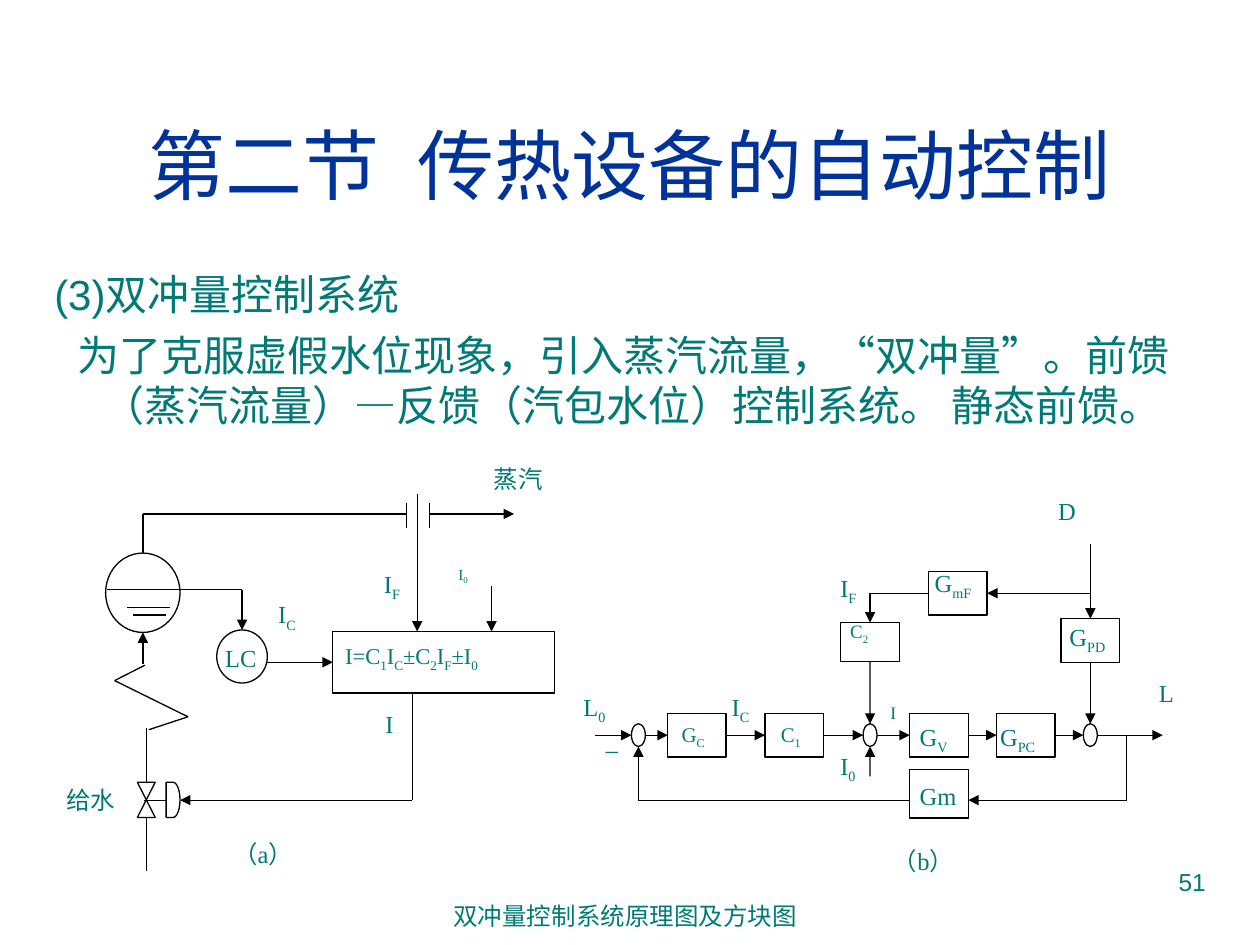
from itertools import pairwise

from lxml.etree import SubElement
from pptx import Presentation
from pptx.dml.color import RGBColor
from pptx.enum.shapes import MSO_CONNECTOR, MSO_SHAPE
from pptx.enum.text import PP_ALIGN
from pptx.oxml.ns import qn
from pptx.util import Cm, Pt

NAVY = RGBColor(0x00, 0x33, 0x99)
TEAL = RGBColor(0x00, 0x7A, 0x77)
BLACK = RGBColor(0, 0, 0)
WHITE = RGBColor(255, 255, 255)

TOP, LEFT, BOTTOM, RIGHT = range(4)
BOX_W, BOX_H = 1.18, 0.88
SUM_W, SUM_H = 0.28, 0.46
MAIN_Y = 14.82
LOOP_Y = 16.13

# left, top, width, height, text (subscripts between bars), size, line spacing
LABELS = [
    (9.7, 9.22, 2.26, 1.19, "蒸汽", 14, 1),
    (1.09, 15.7, 2.34, 1.85, "给水", 14, 1),
    (8.99, 11.3, 1.12, 0.74, "I|0", 8.8, 0.8),
    (7.49, 11.35, 1.5, 1.7, "I|F", 14, 1),
    (5.36, 11.96, 1.35, 1.7, "I|C", 14, 1),
    (7.52, 14.17, 1.42, 1.7, "I", 14, 1),
    (4.29, 12.83, 1.3, 1.04, "LC", 14, 1),
    (6.71, 12.83, 4.6, 0.91, "I=C|1|I|C|±C|2|I|F|±I|0", 12.9, 0.9),
    (4.45, 16.79, 2.01, 1.7, "（a）", 14, 1),
    (13.49, 14.43, 1.47, 0.86, "G|C", 11.9, 0.9),
    (16.69, 11.43, 1.22, 0.94, "I|F", 14, 1),
    (21.31, 12.42, 1.7, 1.07, "G|PD", 14, 1),
    (18.59, 11.33, 1.83, 1.42, "G|mF", 14, 1),
    (21.08, 9.88, 1.4, 1.7, "D", 14, 1),
    (23.11, 13.54, 1.4, 1.7, "L", 14, 1),
    (11.51, 13.82, 1.32, 1.02, "L|0", 14, 1),
    (14.5, 13.82, 1.04, 0.94, "I|C", 14, 1),
    (17.7, 14.02, 0.58, 0.81, "I", 10, 1),
    (16.89, 12.42, 1.35, 0.81, "C|2", 10.8, 0.8),
    (15.49, 14.43, 1.24, 0.86, "C|1", 11.9, 0.9),
    (18.29, 14.43, 1.19, 0.99, "G|V", 14, 1),
    (19.91, 14.43, 1.7, 1.07, "G|PC", 14, 1),
    (17.75, 16.94, 2.01, 1.63, "（b）", 14, 1),
    (11.91, 14.83, 1.4, 0.69, "－", 10, 1),
    (16.69, 15.01, 1.17, 1.09, "I|0", 14, 1),
    (18.29, 15.62, 1.3, 0.91, "Gm", 14, 1),
    (8.89, 18.03, 7.77, 0.91, "双冲量控制系统原理图及方块图", 14, 1),
]


def write(p, text, size=14, font="Times New Roman", color=TEAL,
          align=PP_ALIGN.JUSTIFY, spacing=None, tracking=0):
    p.alignment = align
    if spacing:
        p.line_spacing = spacing
    for i, part in enumerate(text.split("|")):
        r = p.add_run()
        r.text = part
        r.font.size = Pt(size)
        r.font.name = font
        r.font.color.rgb = color
        rPr = r.font._element
        if i % 2:
            rPr.set("baseline", "-25000")
        if tracking:
            rPr.set("spc", str(tracking * 100))


def place(shape, x, y, w, h):
    shape.left, shape.top, shape.width, shape.height = Cm(x), Cm(y), Cm(w), Cm(h)


def add_label(s, x, y, w, h, text, **fmt):
    tf = s.shapes.add_textbox(Cm(x), Cm(y), Cm(w), Cm(h)).text_frame
    tf.word_wrap = True
    write(tf.paragraphs[0], text, **fmt)


def add_block(s, x, y, w=BOX_W, h=BOX_H, kind=MSO_SHAPE.RECTANGLE):
    sp = s.shapes.add_shape(kind, Cm(x), Cm(y), Cm(w), Cm(h))
    sp.shadow.inherit = False
    sp.fill.solid()
    sp.fill.fore_color.rgb = WHITE
    sp.line.color.rgb = BLACK
    sp.line.width = Pt(0.75)
    return sp


def add_sum(s, x):
    return add_block(s, x, MAIN_Y - SUM_H / 2, SUM_W, SUM_H, MSO_SHAPE.OVAL)


def point(end):
    if isinstance(end[0], (int, float)):
        return Cm(end[0]), Cm(end[1])
    sp, side = end
    cx, cy = sp.left + sp.width // 2, sp.top + sp.height // 2
    return {TOP: (cx, sp.top), LEFT: (sp.left, cy),
            BOTTOM: (cx, sp.top + sp.height), RIGHT: (sp.left + sp.width, cy)}[side]


def is_box(end):
    return (not isinstance(end[0], (int, float))
            and end[0].auto_shape_type == MSO_SHAPE.RECTANGLE)


def add_line(s, start, end, arrow=False):
    c = s.shapes.add_connector(MSO_CONNECTOR.STRAIGHT, *point(start), *point(end))
    if is_box(start):
        c.begin_connect(*start)
    if is_box(end):
        c.end_connect(*end)
    c.line.color.rgb = BLACK
    c.line.width = Pt(0.75)
    if arrow:
        SubElement(c.line._get_or_add_ln(), qn("a:tailEnd"), type="triangle")
    SubElement(c._element.spPr, qn("a:effectLst"))


def add_path(s, *points, arrow=False):
    pairs = list(pairwise(points))
    for i, (start, end) in enumerate(pairs, 1):
        add_line(s, start, end, arrow and i == len(pairs))


def add_headings(s):
    title, body = s.placeholders
    place(title, 0.84, 1.7, 23.72, 3.18)
    p = title.text_frame.paragraphs[0]
    for text, tracking in (("第二节", 0), (" ", 12), ("传热设备的自动控制", 0)):
        write(p, text, size=44, font="Arial", color=NAVY,
              align=PP_ALIGN.CENTER, tracking=tracking)
    place(body, 0.84, 5.28, 23.72, 11.66)
    tf = body.text_frame
    items = [("(3)双冲量控制系统", -0.97, 0),
             ("为了克服虚假水位现象，引入蒸汽流量，“双冲量”。前馈（蒸汽流量）"
              "—反馈（汽包水位）控制系统。 静态前馈。", -0.5, 6)]
    for i, (text, indent, before) in enumerate(items):
        p = tf.add_paragraph() if i else tf.paragraphs[0]
        pPr = p._p.get_or_add_pPr()
        pPr.set("marL", str(Cm(0.97)))
        pPr.set("indent", str(Cm(indent)))
        SubElement(pPr, qn("a:buNone"))
        p.space_before = Pt(before)
        write(p, text, size=24, font="Arial", align=PP_ALIGN.LEFT)


def add_schematic(s):
    drum = add_block(s, 2.13, 11.15, 1.5, 1.6, MSO_SHAPE.OVAL)
    controller = add_block(s, 4.37, 12.7, 1.02, 1.07, MSO_SHAPE.OVAL)
    formula = add_block(s, 6.71, 12.73, 4.47, 1.24)
    add_block(s, 2.77, 15.77, 0.36, 0.71, MSO_SHAPE.FLOWCHART_COLLATE)
    add_block(s, 3.35, 15.77, 0.28, 0.71, MSO_SHAPE.FLOWCHART_DELAY)

    add_path(s, (2.16, 11.89), (4.88, 11.89), (controller, TOP), arrow=True)
    add_line(s, (2.57, 12.24), (3.43, 12.24))
    add_line(s, (2.69, 12.4), (3.35, 12.4))
    add_path(s, (drum, TOP), (2.88, 10.36), (8.2, 10.36))
    for x in (8.2, 8.66):
        add_line(s, (x, 10.13), (x, 10.64))
    add_line(s, (8.66, 10.36), (10.36, 10.36), arrow=True)
    add_line(s, (8.41, 9.96), (8.41, 12.73), arrow=True)
    add_line(s, (9.91, 11.81), (9.91, 12.73), arrow=True)
    add_line(s, (5.37, 13.35), (formula, LEFT), arrow=True)
    add_path(s, (8.31, 13.97), (8.31, LOOP_Y), (3.63, LOOP_Y), arrow=True)
    add_line(s, (2.9, LOOP_Y), (3.35, LOOP_Y))
    add_line(s, (2.88, 13.39), (drum, BOTTOM), arrow=True)
    add_path(s, (3, 14.71), (3.79, 14.45), (2.31, 13.72), (2.92, 13.41))
    add_line(s, (2.95, 15.77), (2.95, 14.68))
    add_line(s, (2.95, 17.55), (2.95, 16.48))


def add_block_diagram(s):
    sum_in, sum_mid, sum_out = (add_sum(s, x) for x in (12.73, 17.4, 21.84))
    gc, c1, gv, gpc = (add_block(s, x, MAIN_Y - BOX_H / 2)
                       for x in (13.46, 15.42, 18.34, 20.09))
    c2 = add_block(s, 16.95, 12.55, h=0.79)
    gmf = add_block(s, 18.72, 11.52)
    gpd = add_block(s, 21.39, 12.47)
    add_block(s, 18.34, 15.52, h=0.97)

    add_line(s, (11.99, MAIN_Y), (sum_in, LEFT), arrow=True)
    for a, b in pairwise((sum_in, gc, c1, sum_mid, gv, gpc, sum_out)):
        add_line(s, (a, RIGHT), (b, LEFT), arrow=True)
    add_line(s, (sum_out, RIGHT), (23.44, MAIN_Y), arrow=True)

    add_line(s, (21.98, 10.97), (gpd, TOP), arrow=True)
    add_line(s, (gpd, BOTTOM), (sum_out, TOP), arrow=True)
    add_line(s, (21.98, 11.96), (gmf, RIGHT), arrow=True)
    add_path(s, (gmf, LEFT), (17.54, 11.96), (c2, TOP), arrow=True)
    add_line(s, (c2, BOTTOM), (sum_mid, TOP), arrow=True)
    add_line(s, (17.54, 15.65), (sum_mid, BOTTOM), arrow=True)
    add_path(s, (22.71, MAIN_Y), (22.71, LOOP_Y), (19.52, LOOP_Y), arrow=True)
    add_path(s, (18.34, LOOP_Y), (12.87, LOOP_Y), (sum_in, BOTTOM), arrow=True)


def main():
    prs = Presentation()
    prs.slide_width, prs.slide_height = Cm(25.4), Cm(19.05)
    s = prs.slides.add_slide(prs.slide_layouts[1])
    add_headings(s)
    add_schematic(s)
    add_block_diagram(s)
    for x, y, w, h, text, size, spacing in LABELS:
        add_label(s, x, y, w, h, text, size=size, spacing=spacing)
    add_label(s, 18.21, 17.35, 6.35, 1.32, "51", font="Arial", align=PP_ALIGN.RIGHT)
    prs.save("out.pptx")


if __name__ == "__main__":
    main()
